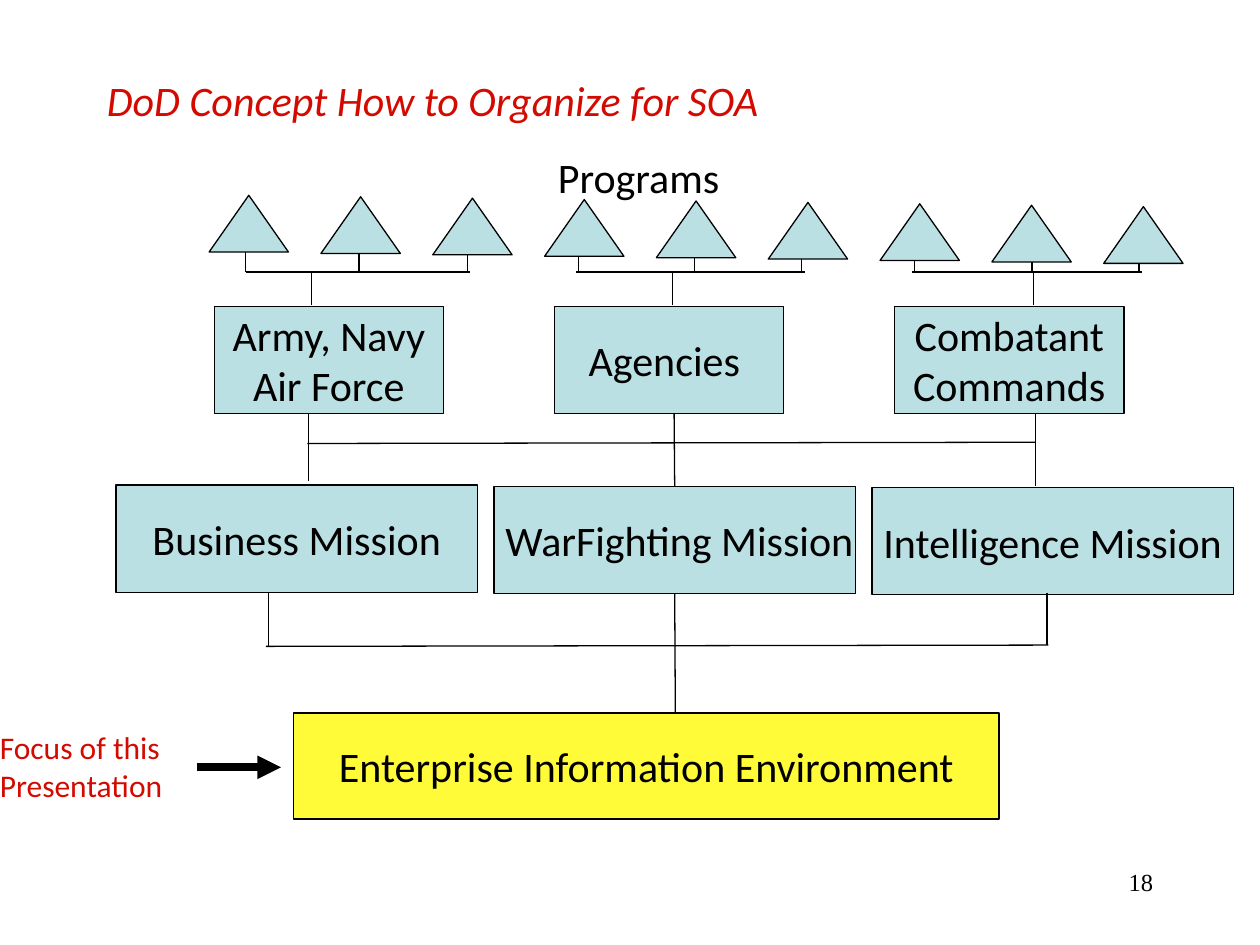
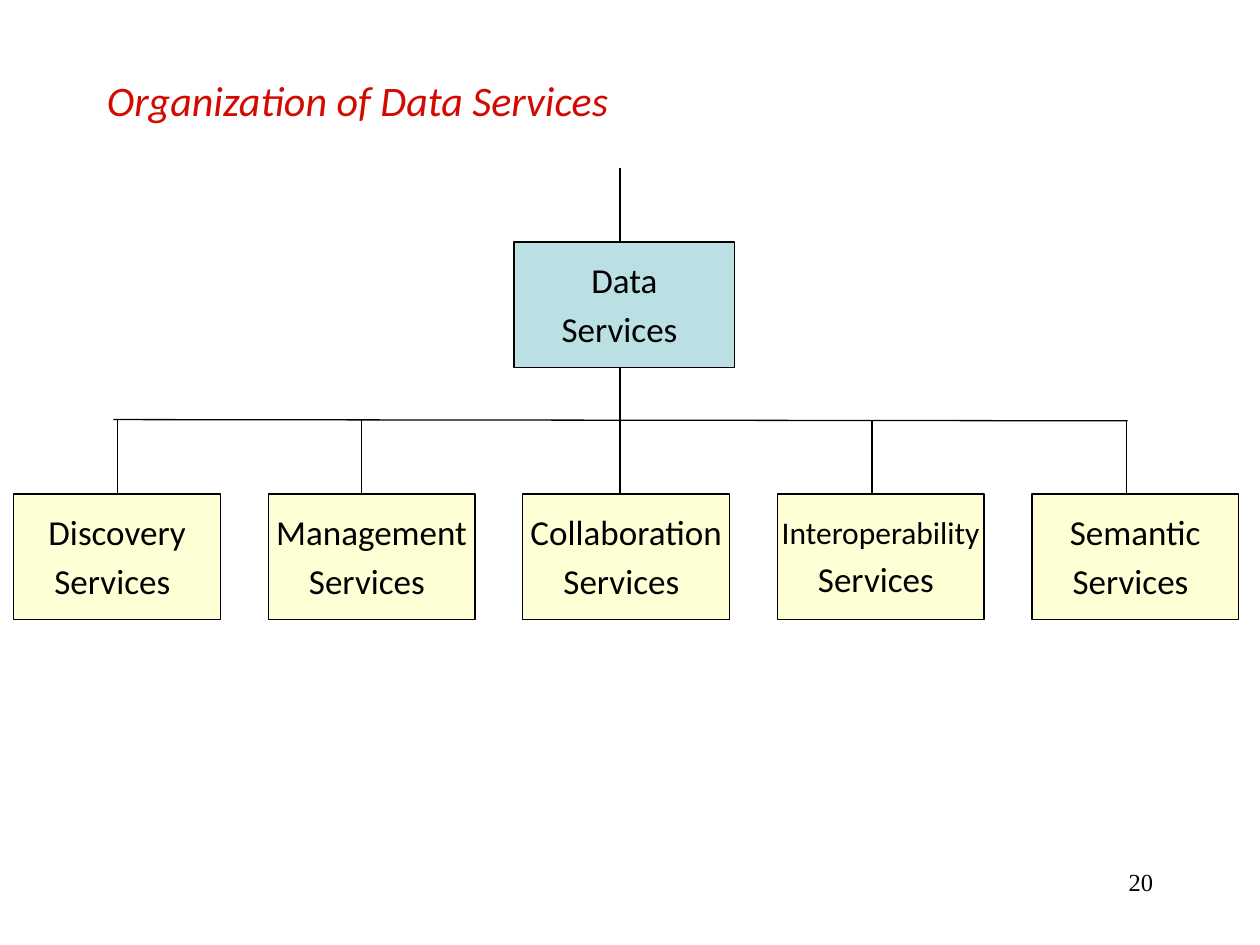
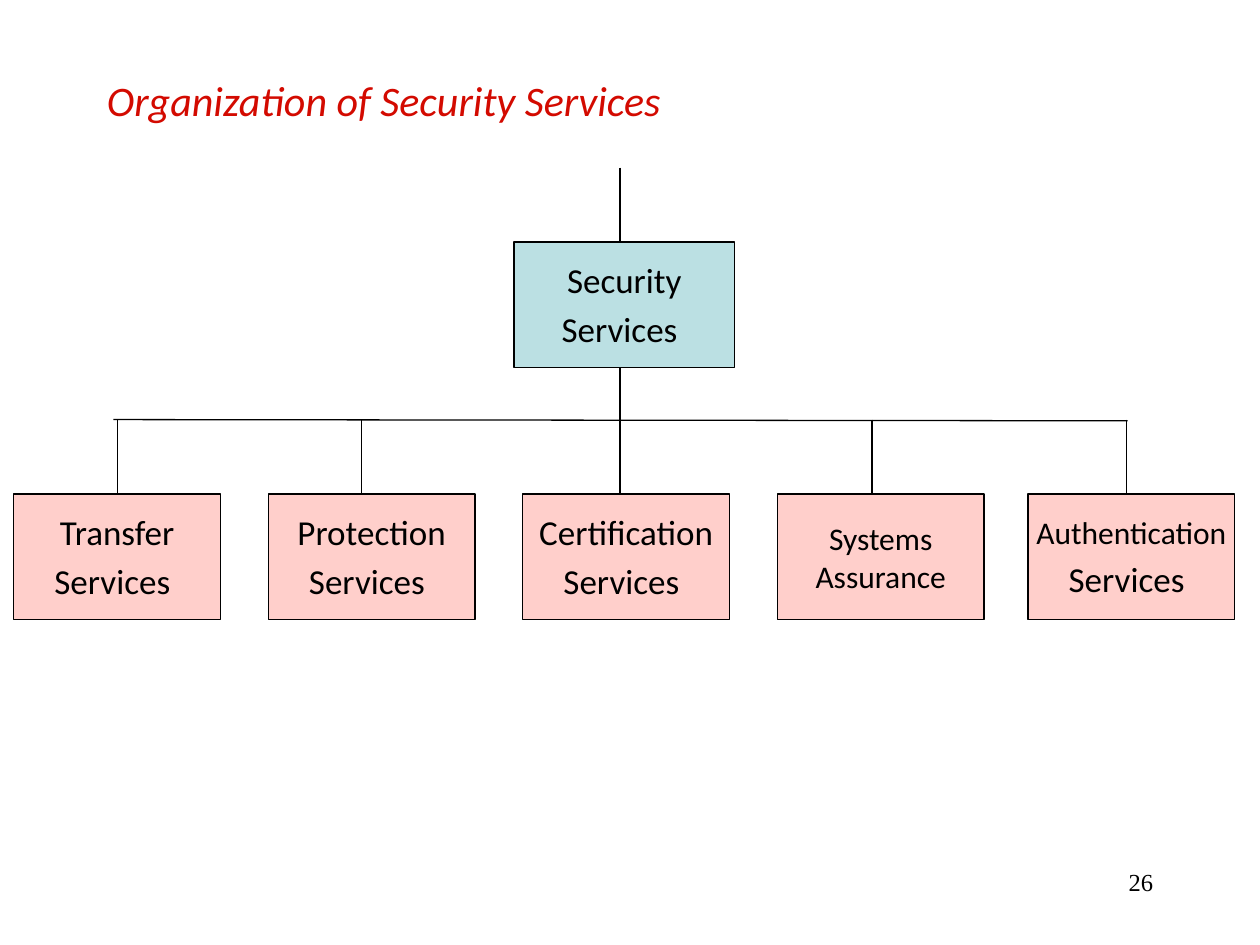
from dataclasses import dataclass

from lxml.etree import SubElement
from pptx import Presentation
from pptx.dml.color import RGBColor
from pptx.enum.shapes import MSO_CONNECTOR as Connector, MSO_SHAPE as Shape
from pptx.enum.text import MSO_ANCHOR as Anchor, PP_ALIGN as Align
from pptx.oxml.ns import qn
from pptx.util import Inches, Pt

# Shared look: one grid column or row is one inch
COLUMNS, ROWS = 10, 7.5
COLORS = {
    "ink": "000000",
    "accent": "D30A00",
    "blue": "BBE0E3",
    "bright": "FFFB39",
    "cream": "FFFFD6",
    "pink": "FFCFCB",
}
BODY = {"name": "Calibri", "size": Pt(24), "italic": False}
TITLE = BODY | {"italic": True}
FOCUS = BODY | {"size": Pt(18)}
NUMBER = BODY | {"name": "Times New Roman", "size": Pt(14)}
TOP, BOTTOM = 0, 2  # connection sites of a rectangle


@dataclass
class Box:
    left: float
    top: float
    width: float
    height: float

    def inner(self, left, top, width, height):
        return Box(self.left + left, self.top + top, width, height)

    def point(self, x, y):
        return self.left + x, self.top + y

    def lengths(self):
        return [Inches(v) for v in (self.left, self.top, self.width, self.height)]


def color(name):
    return RGBColor.from_string(COLORS[name])


# Basic elements
def write(shape, lines, style, ink="ink", align=Align.LEFT, anchor=Anchor.TOP, wrap=True):
    """Write lines, each a string or a list of (text, points) runs."""
    frame = shape.text_frame
    frame.word_wrap = wrap
    frame.vertical_anchor = anchor
    for index, line in enumerate(lines):
        paragraph = frame.paragraphs[0] if index == 0 else frame.add_paragraph()
        paragraph.alignment = align
        runs = [(line, None)] if isinstance(line, str) else line
        for text, points in runs:
            run = paragraph.add_run()
            run.text = text
            values = style | ({"size": Pt(points)} if points else {})
            for name, value in values.items():
                setattr(run.font, name, value)
            run.font.color.rgb = color(ink)


def add_text(slide, box, lines, style, **options):
    write(slide.shapes.add_textbox(*box.lengths()), lines, style, **options)


def add_block(slide, box, fill, lines=(), kind=Shape.RECTANGLE):
    shape = slide.shapes.add_shape(kind, *box.lengths())
    shape.shadow.inherit = False
    shape.fill.solid()
    shape.fill.fore_color.rgb = color(fill)
    shape.line.color.rgb = color("ink")
    shape.line.width = Pt(0.75)
    write(shape, lines, BODY, align=Align.CENTER, anchor=Anchor.MIDDLE, wrap=False)
    return shape


def add_line(slide, start, end, width=0.75, begin=None, finish=None):
    """Draw a line; begin and finish are (shape, site) pairs to join."""
    ends = [Inches(value) for value in (*start, *end)]
    line = slide.shapes.add_connector(Connector.STRAIGHT, *ends)
    line.line.color.rgb = color("ink")
    line.line.width = Pt(width)
    SubElement(line._element.spPr, qn("a:effectLst"))
    if begin:
        line.begin_connect(*begin)
    if finish:
        line.end_connect(*finish)
    return line


def add_slide(presentation, title, number):
    slide = presentation.slides.add_slide(presentation.slide_layouts[6])
    add_text(slide, Box(7.17, 6.83, 2.08, 0.5), [number], NUMBER, align=Align.RIGHT)
    add_text(slide, Box(0.75, 0.5, 8.5, 0.58), [title], TITLE, ink="accent",
             anchor=Anchor.MIDDLE)
    return slide


# Regions of the organization slide
def add_programs(slide, box):
    """Row of triangles, each slightly lower, gathered by threes."""
    add_text(slide, box.inner(2.67, 0, 1.74, 0.5), ["Programs"], BODY)
    bar = 1.01
    stubs = (0.29, 1.19, 2.05, 2.93, 3.85, 4.7, 5.6, 6.53, 7.38)
    pitch = (box.width - 0.63) / (len(stubs) - 1)
    for index, stub in enumerate(stubs):
        top = 0.4 + index * 0.09 / (len(stubs) - 1)
        add_block(slide, box.inner(index * pitch, top, 0.63, 0.45), "blue",
                  kind=Shape.ISOSCELES_TRIANGLE)
        add_line(slide, box.point(stub, top + 0.45), box.point(stub, bar))
    for left, right, stem in ((0.29, 2.07, 0.81), (2.91, 4.73, 3.68), (5.58, 7.4, 6.54)):
        add_line(slide, box.point(left, bar), box.point(right, bar))
        add_line(slide, box.point(stem, bar), box.point(stem, box.height))


def add_row(slide, box, width, labels, step=0):
    """Equal blue blocks across the box, each lower than the last by step."""
    pitch = (box.width - width) / (len(labels) - 1)
    return [
        add_block(slide, box.inner(i * pitch, i * step, width, box.height), "blue", lines)
        for i, lines in enumerate(labels)
    ]


def add_links(slide, box, bar, stems):
    """Crossbar with stems given as (x, top, bottom, joins)."""
    add_line(slide, box.point(0, bar), box.point(box.width, bar - 0.01))
    for x, top, bottom, joins in stems:
        add_line(slide, box.point(x, top), box.point(x, bottom), **joins)


def add_focus(slide, box):
    add_text(slide, box.inner(0, 0, 1.75, 0.7), ["Focus of this", "Presentation"],
             FOCUS, ink="accent")
    arrow = add_line(slide, box.point(1.66, 0.36), box.point(box.width, 0.36), width=4.5)
    SubElement(arrow._element.spPr.find(qn("a:ln")), qn("a:tailEnd"), type="triangle")


def organization_slide(presentation):
    slide = add_slide(presentation, "DoD Concept How to Organize for SOA", "18")
    add_programs(slide, Box(1.66, 1.15, 7.73, 1.27))
    add_row(slide, Box(1.7, 2.43, 7.22, 0.85), 1.82,
            [["Army, Navy", "Air Force"], ["Agencies "], ["Combatant", "Commands"]])
    missions = add_row(
        slide, Box(0.92, 3.85, 8.87, 0.85), 2.87,
        [["Business Mission"], [" WarFighting Mission"], ["Intelligence Mission"]], 0.01)
    add_block(slide, Box(2.33, 5.66, 5.6, 0.84), "bright",
              ["Enterprise Information Environment"])
    middle = missions[1]
    add_links(slide, Box(2.44, 3.28, 5.78, 0.58), 0.24, [
        (0.01, 0, 0.54, {}),
        (2.91, 0, 0.58, {"finish": (middle, TOP)}),
        (5.78, 0, 0.58, {}),
    ])
    add_links(slide, Box(2.11, 4.7, 6.21, 0.96), 0.43, [
        (0.02, 0, 0.43, {}),
        (3.25, 0.01, 0.96, {"begin": (middle, BOTTOM)}),
        (6.2, 0.01, 0.42, {}),
    ])
    add_focus(slide, Box(-0.1, 5.73, 2.33, 0.7))


# Service trees
def services(name, points=20):
    return [[(name, points)], [("Services", 20), (" ", 24)]]


def add_tree(slide, box, root, fill, children, last_shift=0):
    """One root above a row of equal children."""
    width, height, bar, trunk = 1.64, 1, 2, 4.81
    pitch = (box.width - width) / (len(children) - 1)
    row = box.height - height
    add_line(slide, box.point(trunk, 0), box.point(trunk, 0.59))
    add_block(slide, box.inner(3.97, 0.59, 1.75, height), "blue", root)
    blocks = []
    for index, lines in enumerate(children):
        shift = last_shift if index == len(children) - 1 else 0
        place = box.inner(index * pitch + shift, row, width, height)
        blocks.append(add_block(slide, place, fill, lines))
    add_line(slide, box.point(0.79, bar), box.point(8.84, bar + 0.01))
    add_line(slide, box.point(trunk, 1.59), box.point(trunk, row))
    add_line(slide, box.point(width / 2, bar), box.point(width / 2, row),
             finish=(blocks[0], TOP))
    for drop in (2.76, 6.81, 8.83):
        add_line(slide, box.point(drop, bar), box.point(drop, row))


def services_slide(presentation, title, number, *tree, **options):
    slide = add_slide(presentation, title, number)
    add_tree(slide, Box(0.11, 1.33, 9.72, 3.59), *tree, **options)


def main():
    presentation = Presentation()
    presentation.slide_width, presentation.slide_height = Inches(COLUMNS), Inches(ROWS)
    organization_slide(presentation)
    services_slide(
        presentation, "Organization of Data Services", "20", services("Data"), "cream",
        [services("Discovery"), services("Management"), services("Collaboration"),
         services("Interoperability", 18), services("Semantic")])
    services_slide(
        presentation, "Organization of Security Services", "26", services("Security"), "pink",
        [services("Transfer"), services("Protection"), services("Certification"),
         [[("Systems", 18)], [("Assurance", 18)]], services("Authentication", 18)],
        last_shift=-0.03)
    presentation.save("out.pptx")


if __name__ == "__main__":
    main()
